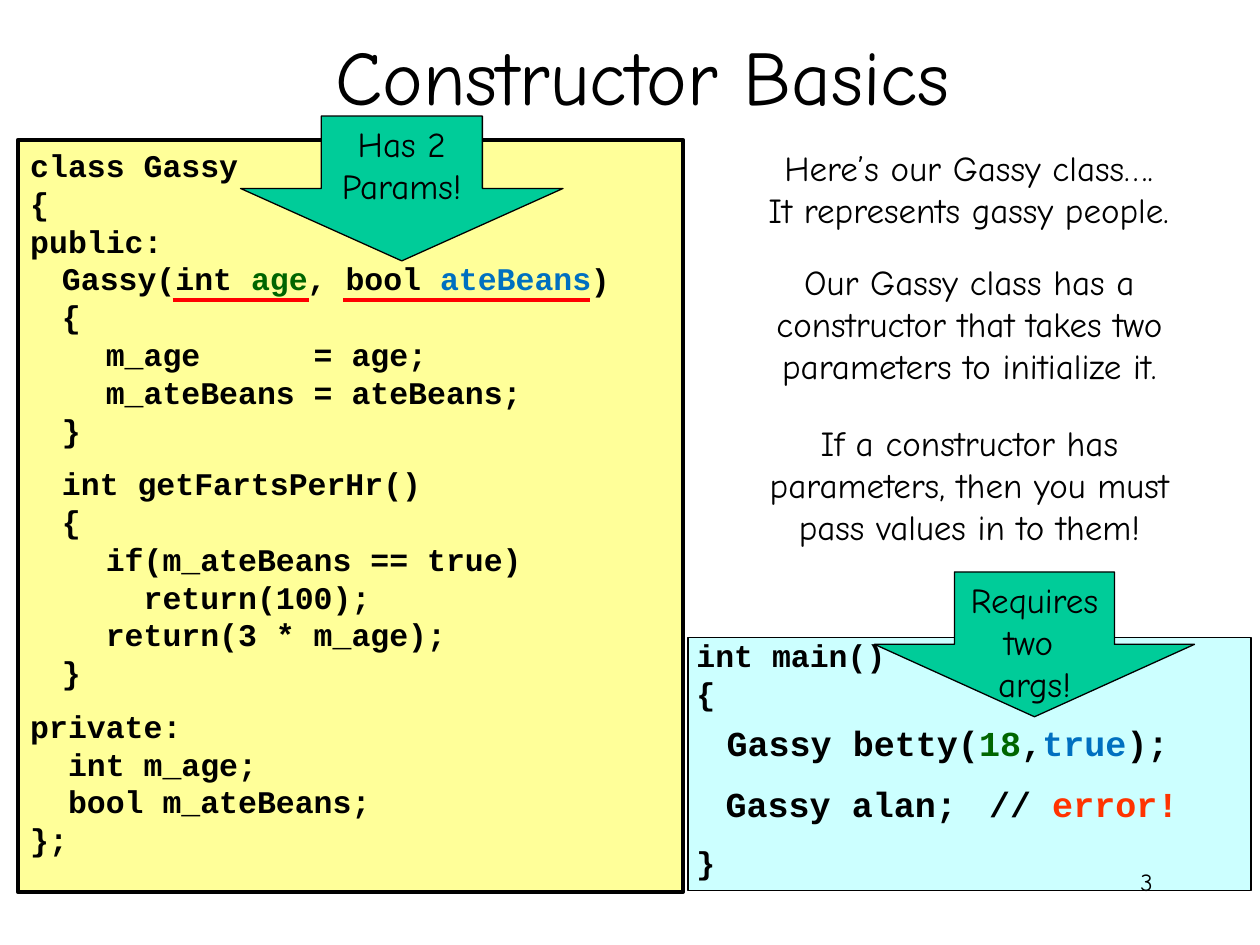
from dataclasses import dataclass

import lxml.etree
import pptx
import pptx.dml.color
import pptx.enum.shapes
import pptx.enum.text
import pptx.oxml.ns
import pptx.util

Cm = pptx.util.Cm
Pt = pptx.util.Pt
Align = pptx.enum.text.PP_ALIGN
Anchor = pptx.enum.text.MSO_ANCHOR
Preset = pptx.enum.shapes.MSO_SHAPE


@dataclass(frozen=True)
class Theme:
    prose: str = "Comic Neue"
    code: str = "Courier New"
    ink: str = "000000"
    number: str = "006600"
    flag: str = "0070C0"
    error: str = "FF3300"
    underline: str = "FF0000"
    class_fill: str = "FFFF99"
    main_fill: str = "CCFFFF"
    arrow_fill: str = "00CC99"
    title_size: int = 44
    body_size: int = 20
    code_size: int = 18
    page_size: int = 14
    heavy: float = 2.25
    thin: float = 0.75


THEME = Theme()


@dataclass(frozen=True)
class Area:
    left: float
    top: float
    width: float
    height: float

    def lengths(self) -> tuple:
        return Cm(self.left), Cm(self.top), Cm(self.width), Cm(self.height)


@dataclass(frozen=True)
class Span:
    text: str
    color: str = THEME.ink


@dataclass(frozen=True)
class Line:
    spans: tuple
    before: float = 0


@dataclass(frozen=True)
class Label:
    area: Area
    lines: tuple


def line(*parts, before: float = 0) -> Line:
    spans = tuple(Span(part) if isinstance(part, str) else part for part in parts)
    return Line(spans, before)


def rgb(color: str):
    return pptx.dml.color.RGBColor.from_string(color)


def write(shape, lines, *, font=THEME.prose, size=THEME.body_size, bold=False,
          align=Align.CENTER, anchor=Anchor.TOP, wrap=True, tab=None) -> None:
    frame = shape.text_frame
    frame.word_wrap = wrap
    frame.vertical_anchor = anchor
    for index, content in enumerate(lines):
        para = frame.add_paragraph() if index else frame.paragraphs[0]
        para.alignment = align
        if tab is not None:
            stops = lxml.etree.SubElement(para._p.get_or_add_pPr(), pptx.oxml.ns.qn("a:tabLst"))
            lxml.etree.SubElement(stops, pptx.oxml.ns.qn("a:tab"), pos=str(int(tab)), algn="l")
        if content.before:
            para.space_before = Pt(content.before)
        for span in content.spans:
            for row, text in enumerate(span.text.split("\n")):
                if row:
                    para.add_line_break()
                run = para.add_run()
                run.text = text
                run.font.name = font
                run.font.size = Pt(size)
                run.font.bold = bold
                run.font.color.rgb = rgb(span.color)


def add_text(slide, label: Label, **style) -> None:
    write(slide.shapes.add_textbox(*label.area.lengths()), label.lines, **style)


def add_panel(slide, area: Area, fill: str, weight: float, preset=Preset.RECTANGLE):
    panel = slide.shapes.add_shape(preset, *area.lengths())
    panel.shadow.inherit = False
    panel.fill.solid()
    panel.fill.fore_color.rgb = rgb(fill)
    panel.line.color.rgb = rgb(THEME.ink)
    panel.line.width = Pt(weight)
    return panel


def add_underline(slide, start: float, end: float, height: float) -> None:
    rule = slide.shapes.add_connector(
        pptx.enum.shapes.MSO_CONNECTOR.STRAIGHT, Cm(start), Cm(height), Cm(end), Cm(height))
    rule.line.color.rgb = rgb(THEME.underline)
    rule.line.width = Pt(THEME.heavy)
    lxml.etree.SubElement(rule._element.spPr, pptx.oxml.ns.qn("a:effectLst"))


CLASS_CODE = (
    line("class Gassy"),
    line("{"),
    line("public:"),
    line("\tGassy(int ", Span("age", THEME.number), ", bool ", Span("ateBeans", THEME.flag)),
    line("\t{"),
    line("    m_age      = age;"),
    line("    m_ateBeans = ateBeans;"),
    line("\t}"),
    line("\tint getFartsPerHr()", before=9),
    line("\t{"),
    line("    if(m_ateBeans == true)"),
    line("      return(100);"),
    line("    return(3 * m_age);"),
    line("\t}"),
    line("private:", before=9),
    line("  int m_age;"),
    line("  bool m_ateBeans;"),
    line("};"),
)
TITLE = Label(Area(4.17, -0.08, 17.58, 3.18), (line("Constructor Basics"),))
PAGE_NUMBER = Label(Area(18.21, 17.35, 5.28, 1.27), (line("3"),))
REMARKS = (
    Label(Area(14.45, 2.82, 10.16, 1.96),
          (line("Here’s our Gassy class….\nIt represents gassy people."),)),
    Label(Area(14.78, 5.13, 9.53, 2.82),
          (line("Our Gassy class has a constructor that takes two parameters to initialize it."),)),
    Label(Area(14.78, 8.38, 9.53, 2.82),
          (line("If a constructor has parameters, then you must pass values in to them!"),)),
)
CLOSING_PAREN = Label(Area(11.66, 5.11, 0.89, 1.02), (line(")"),))
MAIN_CODE = Label(Area(13.79, 12.7, 11.13, 5.26),
                  (line("int main()\n{"), line("}", before=75)))
CALLS = (
    Label(Area(14.4, 14.43, 9.91, 1.12),
          (line("Gassy betty(", Span("18", THEME.number), ",",
                Span("true", THEME.flag), ");"),)),
    Label(Area(19.69, 15.65, 4.37, 1.12), (line("// ", Span("error!", THEME.error)),)),
    Label(Area(14.38, 15.65, 5.64, 1.12), (line("Gassy alan;"),)),
)
ARROWS = (
    Label(Area(4.85, 2.34, 6.5, 2.92), (line("Has 2\nParams!"),)),
    Label(Area(17.63, 11.53, 6.45, 2.92), (line("Requires\ntwo \nargs!"),)),
)


def main() -> None:
    deck = pptx.Presentation()
    deck.slide_width, deck.slide_height = Cm(25.4), Cm(19.05)
    slide = deck.slides.add_slide(deck.slide_layouts[6])
    code_style = dict(font=THEME.code, bold=True, align=Align.LEFT)

    class_panel = add_panel(slide, Area(0.36, 2.82, 13.41, 15.16), THEME.class_fill, THEME.heavy)
    write(class_panel, CLASS_CODE, size=THEME.code_size, tab=Cm(0.64), **code_style)
    add_text(slide, TITLE, size=THEME.title_size, anchor=Anchor.MIDDLE)
    for start, end in ((3.48, 6.22), (6.91, 11.89)):
        add_underline(slide, start, end, 6.05)
    for remark in REMARKS:
        add_text(slide, remark)
    add_text(slide, CLOSING_PAREN, size=THEME.code_size, wrap=False, **code_style)

    add_panel(slide, Area(13.87, 12.85, 11.35, 5.11), THEME.main_fill, THEME.thin)
    add_text(slide, MAIN_CODE, size=THEME.code_size, **code_style)
    for call in CALLS:
        add_text(slide, call, wrap=False, **code_style)

    for arrow in ARROWS:
        shape = add_panel(slide, arrow.area, THEME.arrow_fill, THEME.thin, Preset.DOWN_ARROW)
        write(shape, arrow.lines, wrap=False)
    add_text(slide, PAGE_NUMBER, size=THEME.page_size, align=Align.RIGHT)
    deck.save("out.pptx")


if __name__ == "__main__":
    main()
